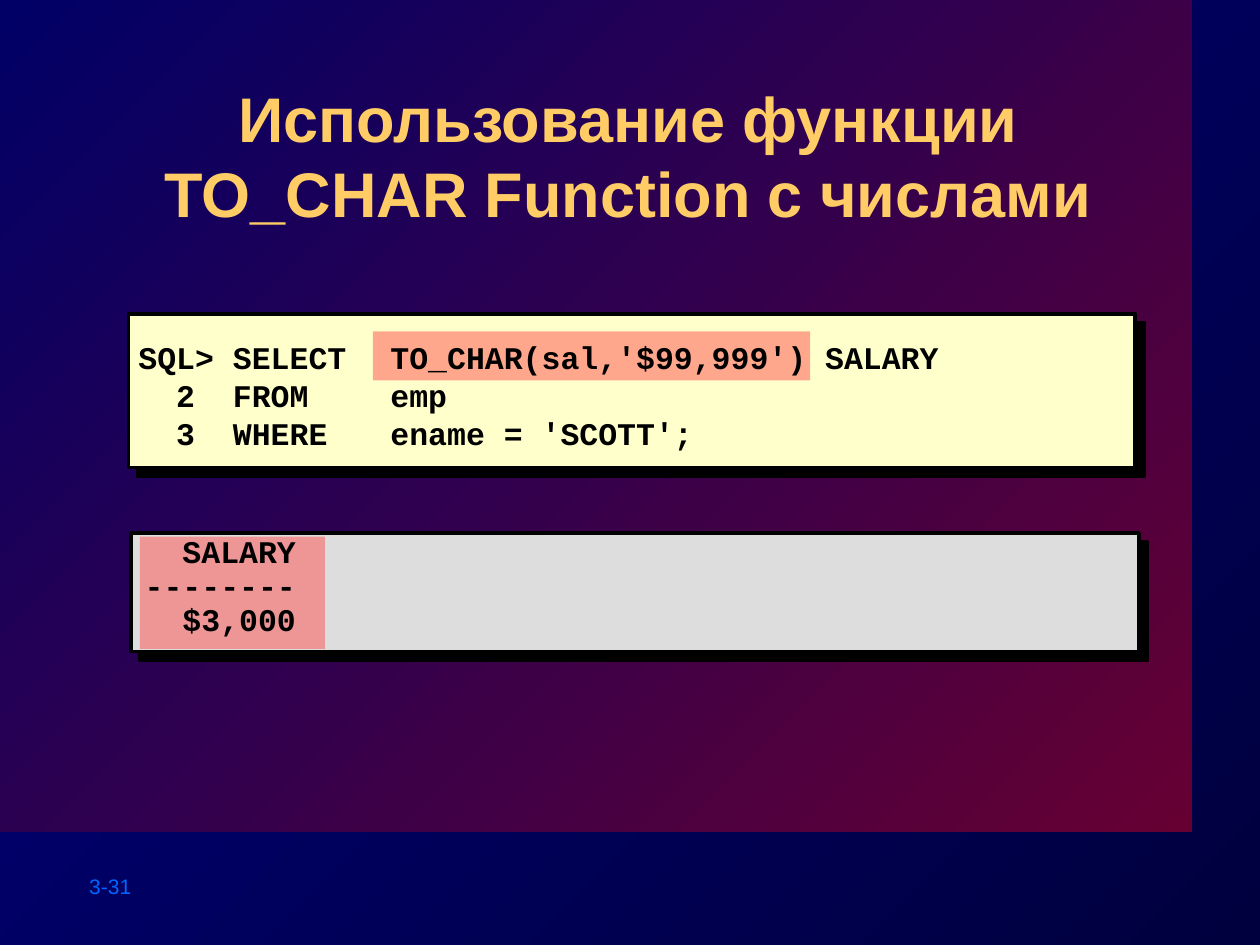
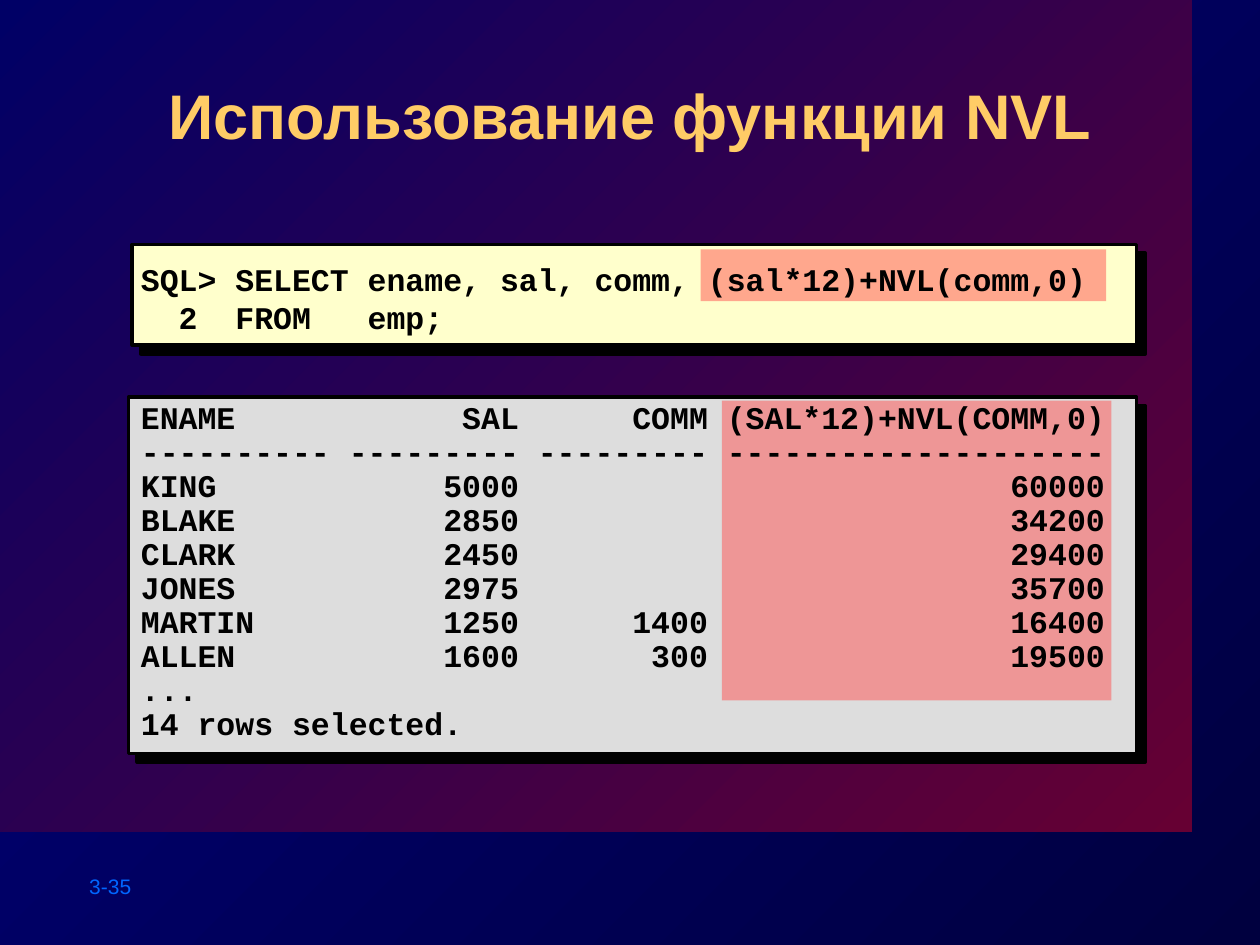
from lxml import etree
from pptx import Presentation
from pptx.dml.color import RGBColor
from pptx.enum.shapes import MSO_SHAPE
from pptx.enum.text import MSO_ANCHOR, PP_ALIGN
from pptx.oxml.ns import qn
from pptx.util import Inches, Pt

RECT = MSO_SHAPE.RECTANGLE
TOP, MIDDLE = MSO_ANCHOR.TOP, MSO_ANCHOR.MIDDLE
LEFT, CENTER = PP_ALIGN.LEFT, PP_ALIGN.CENTER

# Shared style
BACKGROUND = ("00003F", "000080")
PANEL = ("660033", "000066")
BLACK, GOLD, BLUE = "000000", "FFCC66", "0066FF"
CODE_FILL, OUTPUT_FILL, HIGHLIGHT = "FFFFCC", "DDDDDD", "FF5050"
SANS, MONO = "Arial", "Courier New"
CODE_TAB = 2.0


def sql_row(ename, sal, comm, total):
    return f"{ename:<10} {sal:>9} {comm:>9} {total:>20}"


EMPLOYEES = [
    ("ENAME", "SAL", "COMM", "(SAL*12)+NVL(COMM,0)"),
    ("-" * 10, "-" * 9, "-" * 9, "-" * 20),
    ("KING", 5000, "", 60000),
    ("BLAKE", 2850, "", 34200),
    ("CLARK", 2450, "", 29400),
    ("JONES", 2975, "", 35700),
    ("MARTIN", 1250, 1400, 16400),
    ("ALLEN", 1600, 300, 19500),
]

# Content; every box is left, top, width, height in inches
SLIDES = [
    {
        "number": "3-31",
        "title": "Использование функции TO_CHAR Function с числами",
        "title_box": (0.76, 0.58, 8.45, 0.96),
        "code": [
            "SQL> SELECT\tTO_CHAR(sal,'$99,999') SALARY",
            "  2  FROM\temp",
            "  3  WHERE\tename = 'SCOTT';",
        ],
        "code_frame": (1.02, 2.49, 7.99, 1.22),
        "code_box": (1, 2.35, 8.02, 1.57),
        "output": ["  SALARY", "--------", "  $3,000"],
        "output_frame": (1.04, 4.23, 8, 0.94),
        "output_box": (1.05, 4.21, 7.94, 0.91),
        "highlights": [(2.96, 2.63, 3.47, 0.39), (1.11, 4.26, 1.47, 0.89)],
    },
    {
        "number": "3-35",
        "title": "Использование функции NVL",
        "title_box": (1.01, 0.56, 7.98, 0.96),
        "code": [
            "SQL> SELECT ename, sal, comm, (sal*12)+NVL(comm,0)",
            "  2  FROM   emp;",
        ],
        "code_frame": (1.05, 1.94, 7.97, 0.8),
        "code_box": (1.02, 1.82, 8, 1.09),
        "output": [sql_row(*e) for e in EMPLOYEES] + ["...", "14 rows selected."],
        "output_frame": (1.02, 3.15, 8, 2.83),
        "output_box": (1.02, 3.14, 7.97, 2.8),
        "highlights": [(5.56, 1.98, 3.22, 0.41), (5.73, 3.18, 3.09, 2.38)],
    },
]


def rgb(value):
    return RGBColor.from_string(value)


def set_gradient(fill, colors):
    fill.gradient()
    fill.gradient_angle = 135
    for stop, color in zip(fill.gradient_stops, colors):
        stop.color.rgb = rgb(color)


def shadow_effect(distance):
    effects = etree.Element(qn("a:effectLst"))
    shadow = etree.SubElement(effects, qn("a:outerShdw"), dist=str(Pt(distance)),
                              dir="2700000", algn="ctr", rotWithShape="0")
    etree.SubElement(shadow, qn("a:srgbClr"), val=BLACK)
    return effects


def add_rect(slide, box):
    sp = slide.shapes.add_shape(RECT, *map(Inches, box))
    sp.shadow.inherit = False
    sp.line.fill.background()
    return sp


def add_frame(slide, box, color):
    sp = add_rect(slide, box)
    sp.fill.solid()
    sp.fill.fore_color.rgb = rgb(color)
    sp.line.color.rgb = rgb(BLACK)
    sp.line.width = Pt(2)
    old = sp.element.spPr.find(qn("a:effectLst"))
    sp.element.spPr.replace(old, shadow_effect(7.1))


def add_highlight(slide, box):
    sp = add_rect(slide, box)
    sp.fill.solid()
    sp.fill.fore_color.rgb = rgb(HIGHLIGHT)
    color = sp.element.spPr.find(qn("a:solidFill"))[0]
    etree.SubElement(color, qn("a:alpha"), val="50000")


def add_text(slide, box, lines, size, color, font, bold=True, align=LEFT,
             anchor=TOP, spacing=None, tab=None, shadow=False):
    tf = slide.shapes.add_textbox(*map(Inches, box)).text_frame
    tf.word_wrap = True
    tf.vertical_anchor = anchor
    for i, line in enumerate(lines):
        p = tf.add_paragraph() if i else tf.paragraphs[0]
        p.text = line
        p.alignment = align
        if spacing:
            p.line_spacing = spacing
        if tab:
            tabs = etree.SubElement(p._p.get_or_add_pPr(), qn("a:tabLst"))
            etree.SubElement(tabs, qn("a:tab"), pos=str(Inches(tab)), algn="l")
        for r in p.runs:
            r.font.size = Pt(size)
            r.font.bold = bold
            r.font.color.rgb = rgb(color)
            if shadow:
                r.font._element.find(qn("a:solidFill")).addnext(shadow_effect(3))
            r.font.name = font


def build_slide(prs, content):
    slide = prs.slides.add_slide(prs.slide_layouts[6])

    # Background, main panel and slide number
    set_gradient(slide.background.fill, BACKGROUND)
    set_gradient(add_rect(slide, (0, 0, 9.46, 6.6)).fill, PANEL)
    add_text(slide, (0.61, 6.88, 1.11, 0.3), [content["number"]],
             12, BLUE, SANS, bold=False)

    # Frames and highlights behind the text
    add_frame(slide, content["code_frame"], CODE_FILL)
    add_frame(slide, content["output_frame"], OUTPUT_FILL)
    for box in content["highlights"]:
        add_highlight(slide, box)

    # Title, query and result
    add_text(slide, content["title_box"], [content["title"]], 36, GOLD, SANS,
             align=CENTER, shadow=True)
    add_text(slide, content["code_box"], content["code"], 18, BLACK, MONO,
             anchor=MIDDLE, tab=CODE_TAB)
    add_text(slide, content["output_box"], content["output"], 18, BLACK, MONO,
             spacing=0.9)


def main():
    prs = Presentation()
    prs.slide_width, prs.slide_height = Inches(10), Inches(7.5)
    for content in SLIDES:
        build_slide(prs, content)
    prs.save("out.pptx")


if __name__ == "__main__":
    main()
